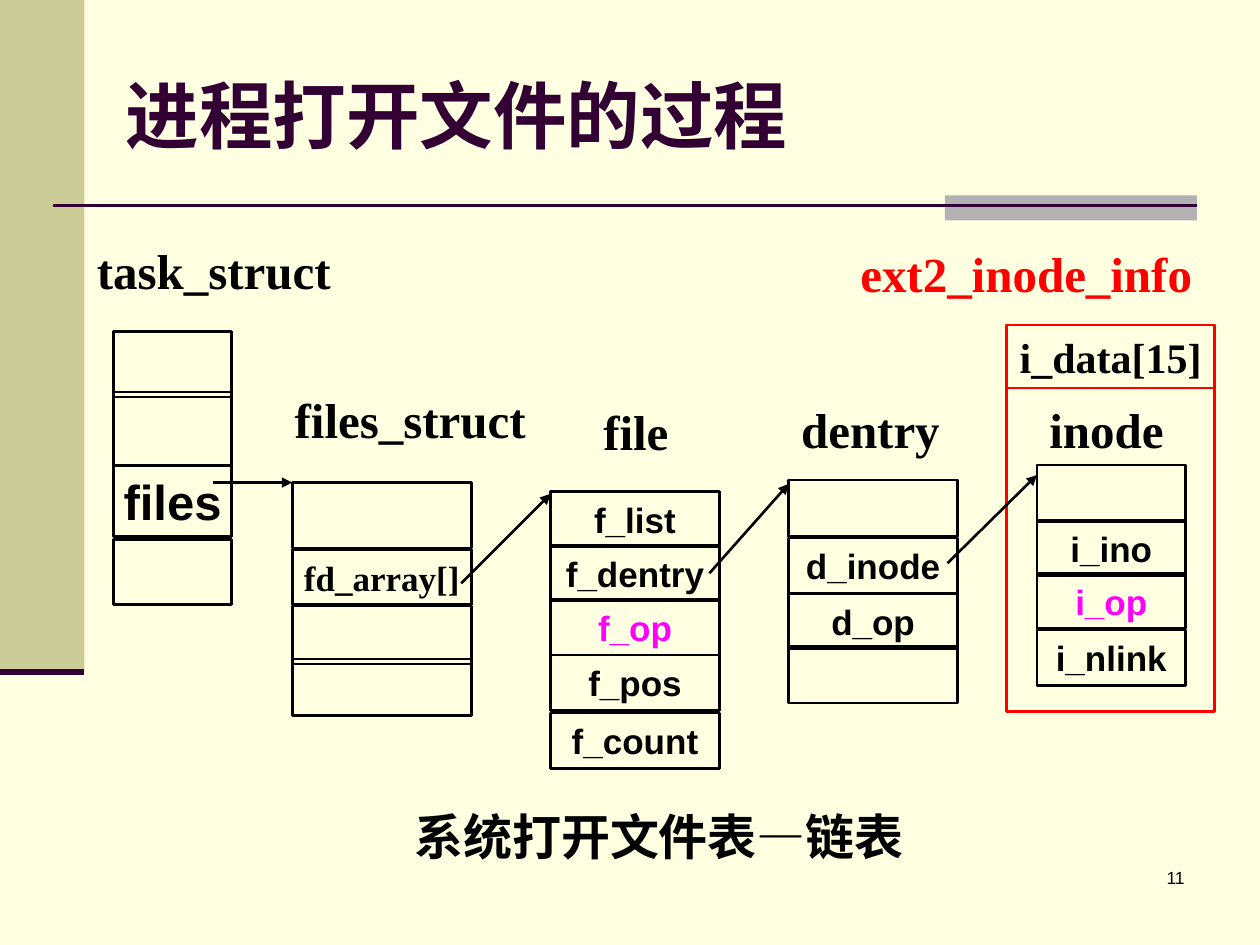
from dataclasses import dataclass

from lxml.etree import SubElement
from pptx import Presentation
from pptx.dml.color import RGBColor
from pptx.enum.shapes import MSO_CONNECTOR as Connector, MSO_SHAPE as Shape
from pptx.enum.text import MSO_ANCHOR as Anchor, PP_ALIGN as Align
from pptx.oxml.ns import qn
from pptx.util import Inches, Pt


@dataclass(frozen=True)
class Theme:
    """Colours, fonts and sizes of the slide."""
    paper: str = "FFFFE1"
    olive: str = "CCCC99"
    grey: str = "B2B2B2"
    plum: str = "330033"
    ink: str = "000000"
    red: str = "FF0000"
    magenta: str = "FF00FF"
    serif: str = "Times New Roman"
    sans: str = "Arial"
    title: int = 42
    heading: int = 28
    data: int = 24
    field: int = 20
    number: int = 10
    stroke: float = 1.5


THEME = Theme()


def colour(code):
    """Return the colour for a hex code."""
    return RGBColor.from_string(code)


def write(shape, text, size=THEME.heading, font=THEME.serif, ink=THEME.ink,
          bold=True, align=Align.LEFT, anchor=Anchor.TOP, inset=0.1):
    """Put one formatted paragraph into a shape."""
    frame = shape.text_frame
    frame.word_wrap = True
    frame.vertical_anchor = anchor
    frame.margin_left = frame.margin_right = Inches(inset)
    frame.margin_top = frame.margin_bottom = Inches(0.05)
    paragraph = frame.paragraphs[0]
    paragraph.alignment = align
    run = paragraph.add_run()
    run.text = text
    run.font.name, run.font.size, run.font.bold = font, Pt(size), bold
    run.font.color.rgb = colour(ink)


def label(slide, box, text, **style):
    """Add a text box in the given box."""
    write(slide.shapes.add_textbox(*map(Inches, box)), text, **style)


def rectangle(slide, box, fill=None, line=None):
    """Add a rectangle with an optional fill and outline."""
    shape = slide.shapes.add_shape(Shape.RECTANGLE, *map(Inches, box))
    shape.shadow.inherit = False
    if fill:
        shape.fill.solid()
        shape.fill.fore_color.rgb = colour(fill)
    else:
        shape.fill.background()
    if line:
        shape.line.color.rgb = colour(line)
        shape.line.width = Pt(THEME.stroke)
    else:
        shape.line.fill.background()
    return shape


def rule(slide, start, end, ink=THEME.ink, width=THEME.stroke, arrow=False):
    """Draw a straight line, with an arrowhead at its end if asked."""
    line = slide.shapes.add_connector(Connector.STRAIGHT, *map(Inches, start + end))
    line.line.color.rgb = colour(ink)
    line.line.width = Pt(width)
    if arrow:
        SubElement(line.line._get_or_add_ln(), qn("a:tailEnd"), type="triangle")
    SubElement(line._element.spPr, qn("a:effectLst"))


def backdrop(slide, width, height):
    """Draw the side band, the title rule and its grey bar."""
    slide.background.fill.solid()
    slide.background.fill.fore_color.rgb = colour(THEME.paper)
    band_width, band_height, rule_top, right = 0.67, 5.33, 1.63, width - 0.5
    rectangle(slide, (0, 0, band_width, band_height), THEME.olive)
    rectangle(slide, (right - 2, 1.55, 2, 0.2), THEME.grey)
    rule(slide, (0.42, rule_top), (right, rule_top), THEME.plum)
    rule(slide, (0, band_height), (band_width, band_height), THEME.plum, 3.5)
    label(slide, (right - 2.08, height - 0.67, 2.08, 0.5), "11", size=THEME.number,
          font=THEME.sans, bold=False, align=Align.RIGHT)


def struct(slide, left, width, rows, **style):
    """Stack field cells, each given as top, height and name."""
    for top, height, field in rows:
        cell = rectangle(slide, (left, top, width, height), line=THEME.ink)
        if field:
            ink = THEME.magenta if field.endswith(("f_op", "i_op")) else THEME.ink
            write(cell, field, **{"size": THEME.field, "font": THEME.sans, "ink": ink,
                                  "align": Align.CENTER, "anchor": Anchor.MIDDLE,
                                  "inset": 0, **style})


def inode_info(slide, left, top, width, height):
    """Draw the red frame with its data row."""
    rectangle(slide, (left, top, width, height), line=THEME.red)
    data = rectangle(slide, (left, top, width, 0.5), line=THEME.red)
    write(data, "i_data[15]", size=THEME.data, align=Align.CENTER,
          anchor=Anchor.MIDDLE, inset=0)


def headings(slide, height):
    """Name every structure and caption the diagram."""
    for left, top, width, name, ink in (
            (0.67, 1.86, 2.12, "task_struct", THEME.ink),
            (2.24, 3.04, 2.12, "files_struct", THEME.ink),
            (4.69, 3.14, 0.94, "file", THEME.ink),
            (6.26, 3.12, 1.34, "dentry", THEME.ink),
            (8.23, 3.12, 1.18, "inode", THEME.ink),
            (6.73, 1.88, 2.91, "ext2_inode_info", THEME.red),
            (3.19, 6.35, 4.33, "系统打开文件表—链表", THEME.ink)):
        label(slide, (left, top, width, height), name, ink=ink)


def structs(slide):
    """Draw the five structures from process to inode."""
    struct(slide, 0.9, 0.94, ((2.63, 0.52, ""), (3.11, 0.59, ""),
                              (3.69, 0.57, "files"), (4.28, 0.52, "")),
           size=THEME.heading)
    struct(slide, 2.32, 1.42, ((3.83, 0.52, ""), (4.36, 0.44, "fd_array[]"),
                               (4.81, 0.46, ""), (5.23, 0.45, "")),
           font=THEME.serif)
    struct(slide, 4.37, 1.34, ((3.9, 0.44, "f_list"), (4.33, 0.44, "f_dentry"),
                               (4.76, 0.44, "f_op"), (5.2, 0.44, "f_pos"),
                               (5.66, 0.44, "f_count")))
    struct(slide, 6.26, 1.34, ((3.81, 0.45, ""), (4.27, 0.44, "d_inode"),
                               (4.71, 0.44, "d_op"), (5.13, 0.45, "")))
    struct(slide, 8.23, 1.18, ((3.69, 0.45, ""), (4.13, 0.44, "i_ino"),
                               (4.55, 0.44, "i_op"), (5, 0.44, "i_nlink")))


def pointers(slide):
    """Link each pointer field to the structure it refers to."""
    for start, end in (((1.69, 3.83), (2.32, 3.83)), ((3.66, 4.63), (4.37, 3.92)),
                       ((5.63, 4.55), (6.26, 3.84)), ((7.52, 4.47), (8.23, 3.77))):
        rule(slide, start, end, arrow=True)


def main():
    """Build and save the slide."""
    deck = Presentation()
    deck.slide_width, deck.slide_height = Inches(10), Inches(7.5)
    slide = deck.slides.add_slide(deck.slide_layouts[6])
    backdrop(slide, 10, 7.5)
    label(slide, (0.9, 0.28, 8.5, 1.25), "进程打开文件的过程", size=THEME.title,
          ink=THEME.plum, anchor=Anchor.MIDDLE)
    inode_info(slide, 7.99, 2.58, 1.65, 3.07)
    headings(slide, 0.57)
    structs(slide)
    pointers(slide)
    deck.save("out.pptx")


if __name__ == "__main__":
    main()
